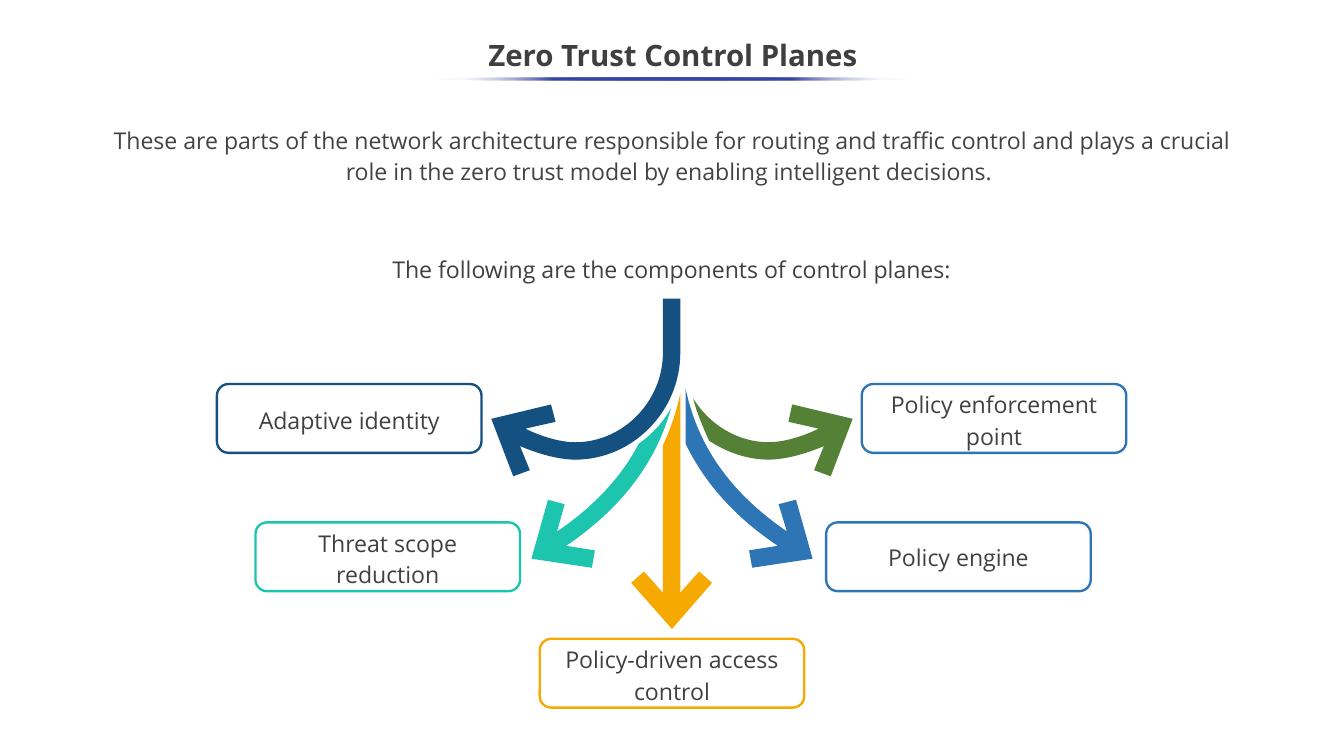
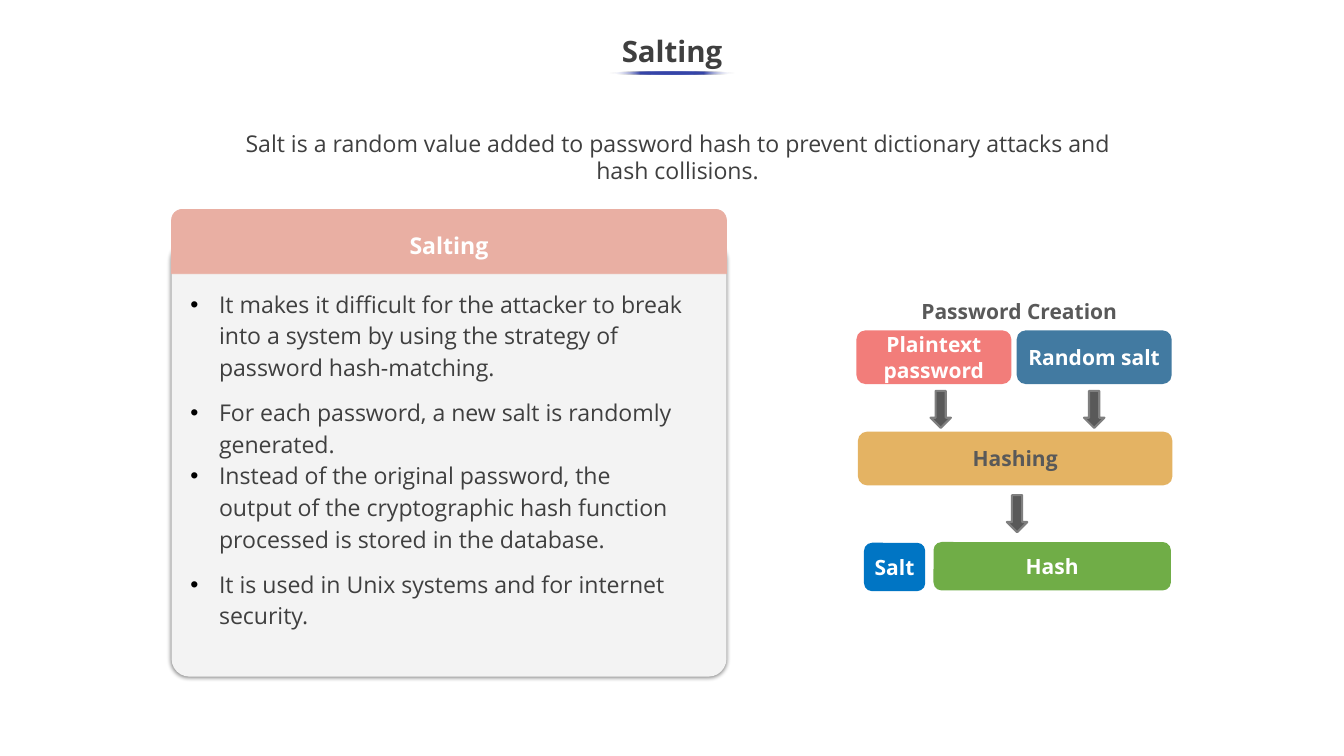
from lxml import etree
from pptx import Presentation
from pptx import util as u
from pptx.dml.color import RGBColor
from pptx.enum import shapes, text
from pptx.oxml.ns import qn

Inches = u.Inches
FONT = "Open Sans"
SLIDE_W, SLIDE_H = 17.78, 10
TITLE_W, TITLE_H = 17.8, 0.75

WHITE = RGBColor(0xFF, 0xFF, 0xFF)
BLACK = RGBColor(0, 0, 0)
INK = RGBColor(0x3F, 0x3F, 0x3F)
LABEL = RGBColor(0x40, 0x40, 0x40)
INTRO = RGBColor(0x43, 0x43, 0x43)
GRAY = RGBColor(0x59, 0x59, 0x59)
ARROW_EDGE = RGBColor(0x7F, 0x7F, 0x7F)
RULE = RGBColor(0x36, 0x45, 0xA9)
NAVY = RGBColor(0x15, 0x51, 0x80)
TEAL = RGBColor(0x1D, 0xC4, 0xAE)
AMBER = RGBColor(0xF6, 0xA9, 0x01)
BLUE = RGBColor(0x2E, 0x75, 0xB6)
GREEN = RGBColor(0x54, 0x81, 0x35)
PANEL = RGBColor(0xF3, 0xF3, 0xF3)
BLUSH = RGBColor(0xE9, 0xAF, 0xA3)
CORAL = RGBColor(0xF2, 0x7D, 0x7A)
STEEL = RGBColor(0x42, 0x7A, 0xA1)
SAND = RGBColor(0xE4, 0xB3, 0x63)
AZURE = RGBColor(0x00, 0x75, 0xC4)
LEAF = RGBColor(0x70, 0xAD, 0x47)

COMPONENT_SIZE = (3.5, 0.91)
COMPONENTS = [
    ("Adaptive identity", 2.87, 5.08, NAVY, NAVY, 1.15, [
        (6.88, 5.9), (7.11, 6, 7.39, 6.08, 7.61, 6.08), (8.37, 6.08, 9, 5.44, 9, 4.67),
        (9, 3.95), (8.77, 3.95), (8.77, 4.67), (8.77, 5.31, 8.24, 5.85, 7.61, 5.85),
        (7.41, 5.85, 7.15, 5.77, 6.95, 5.67), (7.35, 5.58), (7.29, 5.35), (6.5, 5.54),
        (6.79, 6.3), (7.01, 6.22)]),
    ("Threat scope reduction", 3.38, 6.91, TEAL, TEAL, 1.15, [
        (7.25, 6.61), (7.03, 7.39), (7.83, 7.51), (7.87, 7.28), (7.49, 7.22),
        (8.18, 6.75, 8.67, 6.16, 8.88, 5.39), (8.78, 5.58, 8.63, 5.74, 8.45, 5.87),
        (8.21, 6.33, 7.84, 6.71, 7.37, 7.03), (7.47, 6.67)]),
    ("Policy-driven access control", 7.14, 8.45, AMBER, AMBER, 1.15, [
        (8.77, 5.89), (8.77, 7.84), (8.52, 7.56), (8.35, 7.71), (8.89, 8.32),
        (9.42, 7.71), (9.25, 7.56), (9, 7.84), (9, 5.21), (8.95, 5.41),
        (8.9, 5.58, 8.84, 5.74, 8.77, 5.89)]),
    ("Policy engine", 10.93, 6.91, BLUE, BLUE, 1, [
        (10.3, 6.67), (10.41, 7.03), (9.71, 6.55, 9.24, 5.95, 9.07, 5.14), (9.07, 5.87),
        (9.33, 6.41, 9.75, 6.86, 10.29, 7.22), (9.91, 7.28), (9.95, 7.51),
        (10.75, 7.39), (10.53, 6.61)]),
    ("Policy enforcement point", 11.4, 5.08, BLUE, GREEN, 1.15, [
        (10.83, 5.67), (10.63, 5.77, 10.37, 5.85, 10.17, 5.85),
        (9.75, 5.85, 9.38, 5.61, 9.17, 5.27), (9.22, 5.47, 9.3, 5.65, 9.38, 5.83),
        (9.61, 5.98, 9.88, 6.08, 10.17, 6.08), (10.39, 6.08, 10.67, 6, 10.9, 5.9),
        (10.77, 6.22), (10.99, 6.3), (11.28, 5.54), (10.48, 5.35), (10.43, 5.58)]),
]

SALTING_POINTS = [
    ("It makes it difficult for the attacker to break into a system by using "
     "the strategy of password hash-matching.", 0),
    ("For each password, a new salt is randomly generated.", 13),
    ("Instead of the original password, the output of the cryptographic hash "
     "function processed is stored in the database.", 0),
    ("It is used in Unix systems and for internet security.", 13),
]
CREATION_STEPS = [
    ("Plaintext password", (11.33, 4.37, 2.05, 0.71), CORAL, WHITE),
    ("Random salt", (13.45, 4.37, 2.05, 0.71), STEEL, WHITE),
    ("Hashing", (11.35, 5.71, 4.16, 0.71), SAND, GRAY),
    ("Salt", (11.43, 7.18, 0.81, 0.64), AZURE, WHITE),
    ("Hash", (12.35, 7.17, 3.14, 0.64), LEAF, WHITE),
]
STEP_ARROWS = [(12.31, 5.17), (14.34, 5.17), (13.32, 6.55)]


def lengths(values):
    return [Inches(value) for value in values]


def style(paragraph, size, color, bold=False, spacing=1, align=text.PP_ALIGN.CENTER):
    paragraph.alignment = align
    paragraph.line_spacing = spacing
    font = paragraph.font
    font.name, font.size, font.bold = FONT, u.Pt(size), bold
    font.color.rgb = color


def write(shape, words, size, color, bold=False, spacing=1, anchor=text.MSO_ANCHOR.MIDDLE):
    frame = shape.text_frame
    frame.word_wrap = True
    frame.vertical_anchor = anchor
    frame.text = words
    style(frame.paragraphs[0], size, color, bold, spacing)


def paint(shape, fill=None, line=None, weight=0.75):
    shape.shadow.inherit = False
    if fill is None:
        shape.fill.background()
    else:
        shape.fill.solid()
        shape.fill.fore_color.rgb = fill
    if line is None:
        shape.line.fill.background()
    else:
        shape.line.color.rgb = line
        shape.line.width = u.Pt(weight)


def add_box(slide, kind, box, fill=None, line=None, weight=0.75, adjust=None):
    shape = slide.shapes.add_shape(kind, *lengths(box))
    paint(shape, fill, line, weight)
    for index, value in enumerate(adjust or []):
        shape.adjustments[index] = value
    return shape


def add_rounded(slide, box, fill=None, line=None, weight=0.75, radius=0.167):
    return add_box(slide, shapes.MSO_SHAPE.ROUNDED_RECTANGLE, box, fill, line, weight, [radius])


def add_textbox(slide, box):
    textbox = slide.shapes.add_textbox(*lengths(box))
    textbox.text_frame.word_wrap = True
    textbox.text_frame.auto_size = text.MSO_AUTO_SIZE.SHAPE_TO_FIT_TEXT
    return textbox


def add_label(slide, words, box, size, color, bold=False, spacing=1):
    write(add_textbox(slide, box), words, size, color, bold, spacing, text.MSO_ANCHOR.TOP)


def add_color(parent, color, alpha=None):
    node = etree.SubElement(parent, qn("a:srgbClr"), val=str(color))
    if alpha is not None:
        etree.SubElement(node, qn("a:alpha"), val=str(alpha * 1000))


def add_title_rule(slide, top, width):
    rule = add_box(slide, shapes.MSO_SHAPE.OVAL, ((SLIDE_W - width) / 2, top, width, 0.04))
    rule.fill.gradient()
    rule.fill.gradient_angle = 180
    stops = rule.element.spPr.find(qn("a:gradFill")).find(qn("a:gsLst"))
    for stop in list(stops):
        stops.remove(stop)
    for percent in range(0, 101, 25):
        stop = etree.SubElement(stops, qn("a:gs"), pos=str(percent * 1000))
        if percent in (0, 100):
            add_color(stop, WHITE, 0)
        else:
            add_color(stop, RULE)


def add_titled_slide(deck, title, left, top, rule_top, rule_width):
    slide = deck.slides.add_slide(deck.slide_layouts[5])
    heading = slide.shapes.title
    heading.left, heading.top, heading.width, heading.height = lengths(
        (left, top, TITLE_W, TITLE_H))
    write(heading, title, 28, INK, True, 0.9)
    add_title_rule(slide, rule_top, rule_width)
    return slide


def add_curved_arrow(slide, outline, color):
    ends = [lengths(segment[-2:]) for segment in outline]
    builder = slide.shapes.build_freeform(*ends[0])
    builder.add_line_segments(ends[1:], close=True)
    arrow = builder.convert_to_shape()
    paint(arrow, color)
    for side, segment in zip(list(arrow.element.iter(qn("a:lnTo"))), outline[1:]):
        if len(segment) == 6:
            side.getparent().replace(side, bend(segment, arrow.left, arrow.top))


def bend(segment, left, top):
    curve = etree.Element(qn("a:cubicBezTo"))
    for x, y in zip(segment[::2], segment[1::2]):
        etree.SubElement(curve, qn("a:pt"), x=str(Inches(x) - left), y=str(Inches(y) - top))
    return curve


def add_soft_shadow(shape):
    effects = shape.element.spPr.find(qn("a:effectLst"))
    shadow = etree.SubElement(effects, qn("a:outerShdw"), blurRad=str(u.Pt(4.5)),
                              dist=str(u.Pt(1.5)), dir="5400000", rotWithShape="0")
    add_color(shadow, BLACK, 49)


def add_bullets(slide, box, points):
    frame = add_textbox(slide, box).text_frame
    frame.margin_right = Inches(0.4)
    for index, (words, before) in enumerate(points):
        paragraph = frame.paragraphs[0] if index == 0 else frame.add_paragraph()
        paragraph.text = words
        props = paragraph._p.get_or_add_pPr()
        props.set("marL", str(Inches(0.39)))
        props.set("indent", str(Inches(-0.38)))
        add_color(etree.SubElement(props, qn("a:buClr")), BLACK)
        etree.SubElement(props, qn("a:buFont"), typeface="Arial")
        etree.SubElement(props, qn("a:buChar"), char="•")
        paragraph.space_before = u.Pt(before)
        style(paragraph, 22, INK, spacing=1.14, align=text.PP_ALIGN.LEFT)


def build_control_planes(deck):
    slide = add_titled_slide(deck, "Zero Trust Control Planes", 0, 0.38, 1.02, 6.3)
    add_label(slide, "These are parts of the network architecture responsible for routing and "
              "traffic control and plays a crucial role in the zero trust model by enabling "
              "intelligent decisions. ", (1.38, 1.57, 15.02, 0.92), 22, INTRO, spacing=1.14)
    for name, left, top, border, arrow_color, spacing, outline in COMPONENTS:
        add_curved_arrow(slide, outline, arrow_color)
        component = add_rounded(slide, (left, top, *COMPONENT_SIZE), line=border, weight=2.25)
        write(component, name, 22, LABEL, spacing=spacing)
    add_label(slide, "The following are the components of control planes:",
              (4.97, 3.28, 7.83, 0.5), 22, LABEL, spacing=1.15)


def build_salting(deck):
    slide = add_titled_slide(deck, "Salting", -0.01, 0.33, 0.95, 1.66)
    definition = add_rounded(slide, (2.76, 1.6, 12.41, 1.22), WHITE)
    write(definition, "Salt is a random value added to password hash to prevent dictionary "
          "attacks and hash collisions.", 22, INK, anchor=text.MSO_ANCHOR.TOP)

    add_soft_shadow(add_rounded(slide, (2.27, 3.2, 7.34, 5.75), PANEL, radius=0.041))
    header = add_box(slide, shapes.MSO_SHAPE.ROUND_2_SAME_RECTANGLE, (2.27, 2.77, 7.34, 0.85),
                     BLUSH, BLUSH, adjust=[0.167, 0])
    write(header, "Salting", 22, WHITE, True, 1.14)
    header.text_frame.margin_top = header.text_frame.margin_bottom = Inches(0.1)
    add_bullets(slide, (2.41, 3.74, 7.06, 4.87), SALTING_POINTS)

    add_label(slide, "Password Creation", (11.7, 3.9, 3.57, 0.44), 20, GRAY, True)
    for name, box, fill, color in CREATION_STEPS:
        write(add_rounded(slide, box, fill), name, 20, color, True)
    for left, top in STEP_ARROWS:
        add_box(slide, shapes.MSO_SHAPE.DOWN_ARROW, (left, top, 0.27, 0.49),
                GRAY, ARROW_EDGE, 2, [0.5, 0.5])


def main():
    deck = Presentation()
    deck.slide_width, deck.slide_height = lengths((SLIDE_W, SLIDE_H))
    build_control_planes(deck)
    build_salting(deck)
    deck.save("out.pptx")


if __name__ == "__main__":
    main()
